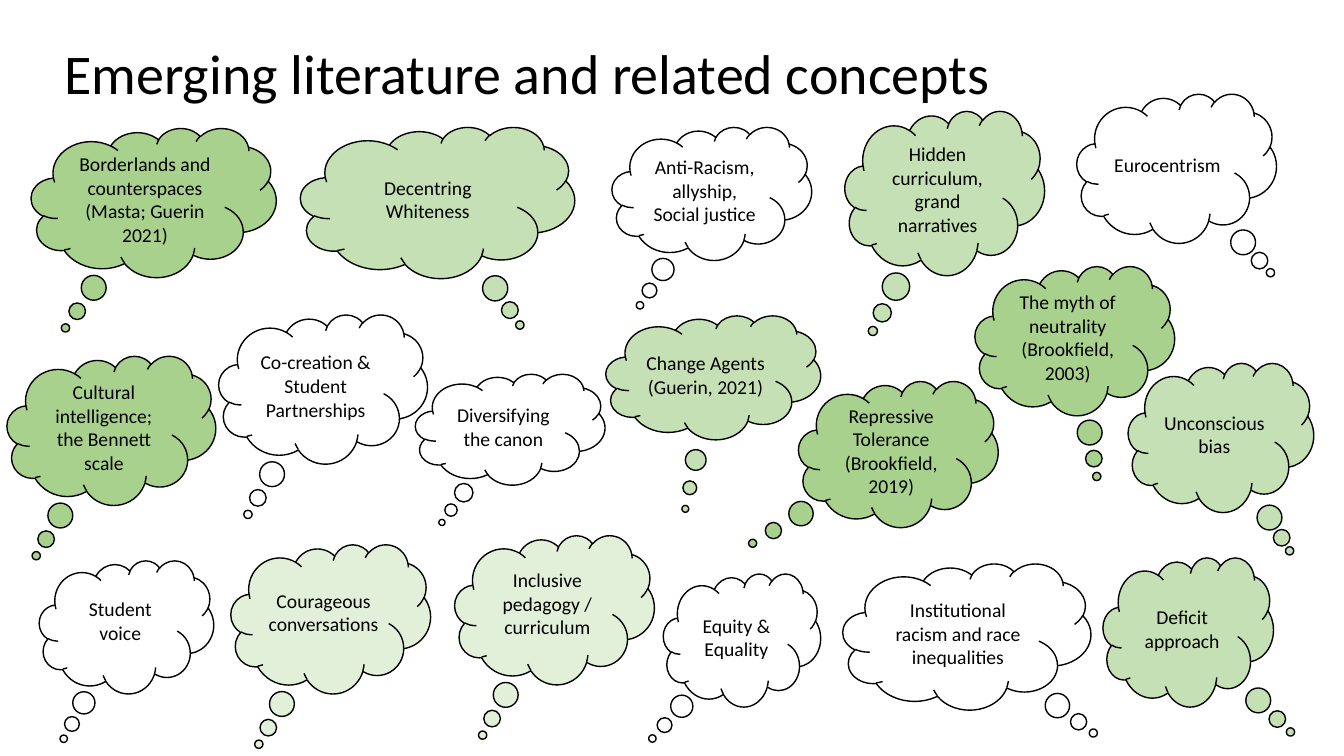
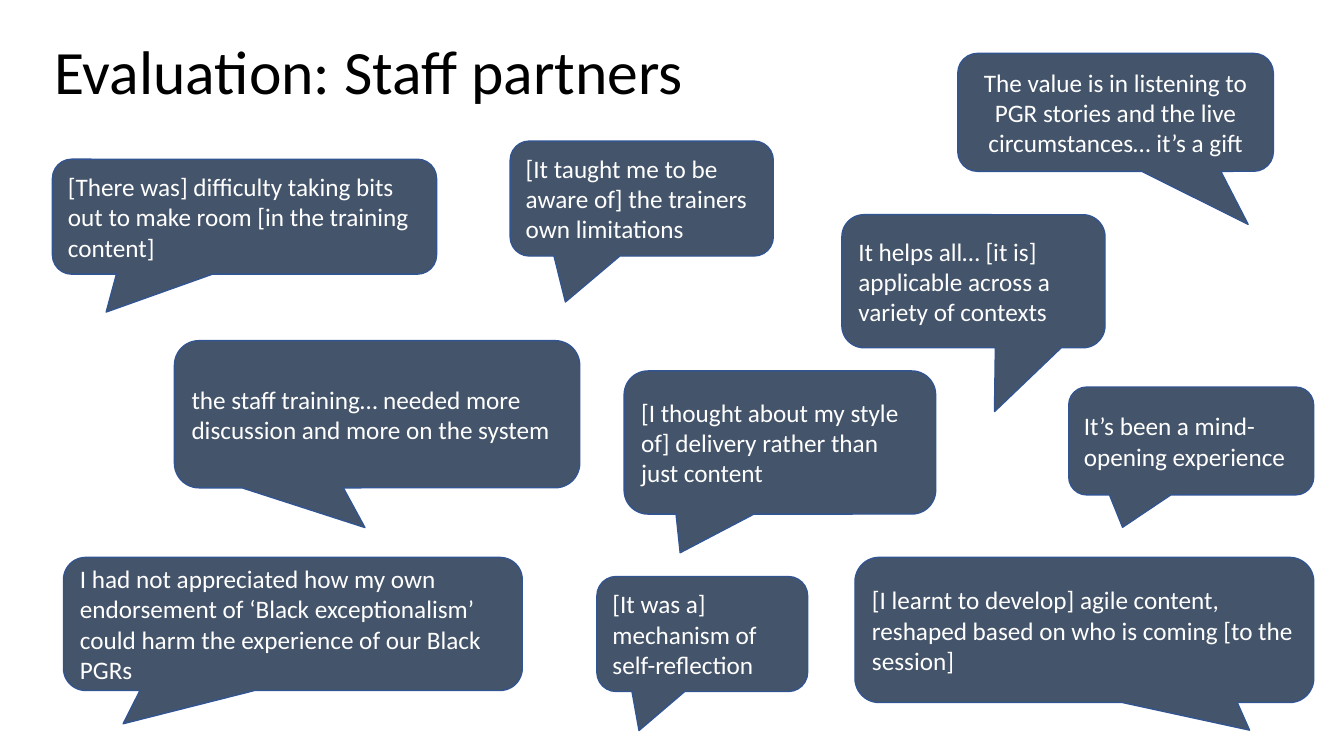
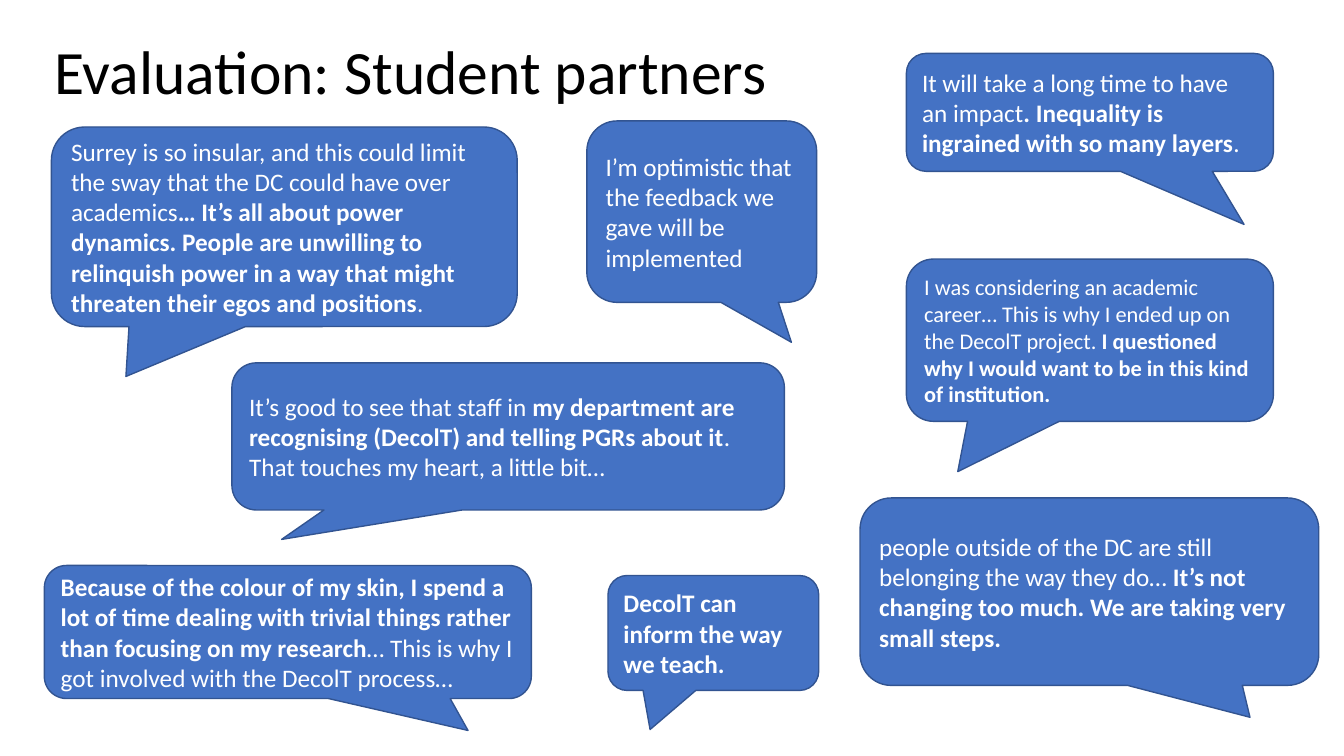
from dataclasses import dataclass

from pptx import Presentation
from pptx.dml.color import RGBColor
from pptx.enum import shapes, text
from pptx.slide import Slide
from pptx.text.text import TextFrame
from pptx.util import Pt

PX = 9144
LEFT, CENTER = text.PP_ALIGN.LEFT, text.PP_ALIGN.CENTER
CLOUD = shapes.MSO_SHAPE.CLOUD_CALLOUT
SPEECH = shapes.MSO_SHAPE.ROUNDED_RECTANGULAR_CALLOUT


@dataclass(frozen=True)
class Theme:
    font: str = "Calibri"
    ink: str = "000000"
    paper: str = "FFFFFF"
    pale: str = "E2F0D9"
    soft: str = "C5E0B4"
    leaf: str = "A9D18E"
    slate: str = "44546A"
    blue: str = "4472C4"
    edge: str = "325491"
    concept_pt: int = 14
    small_quote_pt: int = 16
    quote_pt: int = 18
    long_title_pt: int = 40
    title_pt: int = 44


THEME = Theme()


@dataclass(frozen=True)
class Box:
    left: int
    top: int
    width: int
    height: int

    def emu(self) -> tuple[int, int, int, int]:
        return self.left * PX, self.top * PX, self.width * PX, self.height * PX


@dataclass(frozen=True)
class Concept:
    wording: str
    box: Box
    fill: str = THEME.paper
    tail: tuple[float, float] = (-0.36, 0.84)
    align: text.PP_ALIGN = CENTER
    lift: int = 0


@dataclass(frozen=True)
class Quote:
    wording: str
    box: Box
    tail: tuple[float, float]
    align: text.PP_ALIGN = LEFT
    size: int = THEME.quote_pt


CONCEPTS = [
    Concept("Hidden curriculum,\ngrand narratives", Box(838, 110, 198, 163), THEME.soft),
    Concept("Inclusive pedagogy /\ncurriculum", Box(451, 531, 198, 148), THEME.pale, lift=6),
    Concept("Co-creation &\nStudent Partnerships", Box(217, 312, 207, 148)),
    Concept("Cultural intelligence; the Bennett scale", Box(7, 353, 207, 148), THEME.leaf),
    Concept("Decentring Whiteness", Box(298, 126, 272, 150), THEME.soft, (0.3, 0.81)),
    Concept("Diversifying the canon", Box(412, 371, 188, 110)),
    Concept("Borderlands and counterspaces (Masta; Guerin 2021)", Box(31, 127, 243, 148), THEME.leaf),
    Concept("Eurocentrism", Box(1068, 93, 198, 148), tail=(0.47, 0.7), align=LEFT),
    Concept("Institutional racism and race inequalities", Box(836, 559, 246, 145), tail=(0.51, 0.66)),
    Concept("Repressive Tolerance\n(Brookfield, 2019)", Box(792, 378, 198, 145), THEME.leaf, (-0.73, 0.61)),
    Concept("Change Agents\n(Guerin, 2021)", Box(601, 313, 213, 123), THEME.soft, (-0.13, 1.06)),
    Concept("Anti-Racism, allyship,\nSocial justice", Box(607, 126, 198, 132)),
    Concept("Deficit approach", Box(1094, 553, 169, 148), THEME.soft, (0.6, 0.67)),
    Concept("The myth of neutrality (Brookfield, 2003)", Box(967, 264, 198, 148), THEME.leaf, (0.11, 0.91)),
    Concept("Unconscious bias", Box(1119, 360, 184, 148), THEME.soft, (0.37, 0.76)),
    Concept("Courageous conversations", Box(229, 540, 198, 148), THEME.pale, lift=6),
    Concept("Equity & Equality", Box(658, 569, 156, 132), tail=(-0.57, 0.74)),
    Concept("Student voice", Box(39, 556, 173, 132), lift=6),
]

STAFF_QUOTES = [
    Quote("[I thought about my style of] delivery rather than just content", Box(619, 368, 309, 142), (-0.32, 0.77)),
    Quote(
        "[There was] difficulty taking bits out to make room [in the training content]",
        Box(52, 158, 381, 114),
        (-0.36, 0.83),
    ),
    Quote(
        "I had not appreciated how my own endorsement of ‘Black exceptionalism’ "
        "could harm the experience of our Black PGRs",
        Box(63, 553, 455, 132),
        (-0.37, 0.75),
    ),
    Quote("[It was a] mechanism of self-reflection", Box(592, 572, 209, 114), (-0.3, 0.84)),
    Quote("[It taught me to be aware of] the trainers own limitations", Box(506, 140, 261, 114), (-0.29, 0.9)),
    Quote(
        "[I learnt to develop] agile content, reshaped based on who is coming [to the session]",
        Box(848, 553, 455, 144),
        (0.36, 0.69),
    ),
    Quote("It’s been a mind-opening experience", Box(1060, 384, 243, 107), (-0.28, 0.8)),
    Quote(
        "The value is in listening to PGR stories and the live circumstances… it’s a gift",
        Box(950, 53, 313, 117),
        (0.42, 0.95),
        CENTER,
    ),
    Quote("the staff training… needed more discussion and more on the system", Box(173, 338, 402, 146), (-0.03, 0.77)),
    Quote("It helps all… [it is] applicable across a variety of contexts", Box(835, 213, 261, 132), (0.08, 0.98)),
]

STUDENT_QUOTES = [
    Quote("I’m optimistic that the feedback we gave will be implemented", Box(582, 120, 228, 180), (0.39, 0.72)),
    Quote(
        "Surrey is so insular, and this could limit the sway that the DC could have over academics"
        "**… It’s all about power dynamics. People are unwilling to relinquish power "
        "in a way that might threaten their egos and positions**.",
        Box(51, 126, 462, 198),
        (-0.34, 0.75),
    ),
    Quote(
        "**Because of the colour of my skin, I spend a lot of time dealing with trivial things "
        "rather than focusing on my research**… This is why I got involved with the DecolT process…",
        Box(44, 561, 483, 132),
        (0.37, 0.74),
    ),
    Quote("**DecolT can inform the way we teach.**", Box(603, 571, 209, 114), (-0.3, 0.84)),
    Quote(
        "I was considering an academic career… This is why I ended up on the DecolT project. "
        "**I questioned why I would want to be in this kind of institution.**",
        Box(899, 257, 364, 161),
        (-0.36, 0.81),
        size=THEME.small_quote_pt,
    ),
    Quote(
        "people outside of the DC are still belonging the way they do… "
        "**It’s not changing too much. We are taking very small steps.**",
        Box(853, 494, 455, 186),
        (0.35, 0.67),
    ),
    Quote(
        "It will take a long time to have an impact**. Inequality is ingrained with so many layers**.",
        Box(899, 53, 364, 117),
        (0.42, 0.95),
    ),
    Quote(
        "It’s good to see that staff in **my department are recognising (DecolT) "
        "and telling PGRs about it**. That touches my heart, a little bit…",
        Box(230, 360, 548, 146),
        (-0.41, 0.7),
    ),
]


def write(
    frame: TextFrame,
    wording: str,
    *,
    size: int,
    color: str = THEME.ink,
    align: text.PP_ALIGN = LEFT,
    spacing: float = 1.0,
    lift: int = 0,
) -> None:
    frame.word_wrap = True
    frame.vertical_anchor = text.MSO_ANCHOR.MIDDLE
    frame.margin_left = frame.margin_right = 10 * PX
    frame.margin_top = 5 * PX
    frame.margin_bottom = (5 + lift) * PX
    for row, line in enumerate(wording.split("\n")):
        paragraph = frame.add_paragraph() if row else frame.paragraphs[0]
        paragraph.alignment = align
        paragraph.line_spacing = spacing
        for turn, words in enumerate(line.split("**")):
            if words:
                run = paragraph.add_run()
                run.text = words
                run.font.name = THEME.font
                run.font.size = Pt(size)
                run.font.bold = turn % 2 == 1
                run.font.color.rgb = RGBColor.from_string(color)


def add_bubble(
    slide: Slide, preset: shapes.MSO_SHAPE, box: Box, tail: tuple[float, float], fill: str, edge: str
) -> TextFrame:
    bubble = slide.shapes.add_shape(preset, *box.emu())
    bubble.shadow.inherit = False
    bubble.adjustments[0], bubble.adjustments[1] = tail
    bubble.fill.solid()
    bubble.fill.fore_color.rgb = RGBColor.from_string(fill)
    bubble.line.color.rgb = RGBColor.from_string(edge)
    bubble.line.width = Pt(1)
    return bubble.text_frame


def add_titled_slide(deck: Presentation, title: str, left: int, top: int, size: int) -> Slide:
    slide = deck.slides.add_slide(deck.slide_layouts[6])
    heading = slide.shapes.add_textbox(*Box(left, top, 1150, 145).emu())
    write(heading.text_frame, title, size=size, spacing=0.9)
    return slide


def add_concept_slide(deck: Presentation) -> None:
    slide = add_titled_slide(deck, "Emerging literature and related concepts", 54, 3, THEME.long_title_pt)
    for concept in CONCEPTS:
        frame = add_bubble(slide, CLOUD, concept.box, concept.tail, concept.fill, THEME.ink)
        write(frame, concept.wording, size=THEME.concept_pt, align=concept.align, lift=concept.lift)


def add_quote_slide(deck: Presentation, title: str, quotes: list[Quote], fill: str) -> None:
    slide = add_titled_slide(deck, title, 44, 1, THEME.title_pt)
    for quote in quotes:
        frame = add_bubble(slide, SPEECH, quote.box, quote.tail, fill, THEME.edge)
        write(frame, quote.wording, size=quote.size, color=THEME.paper, align=quote.align)


def main() -> None:
    deck = Presentation()
    deck.slide_width, deck.slide_height = 1333 * PX, 750 * PX
    add_concept_slide(deck)
    add_quote_slide(deck, "Evaluation: Staff partners", STAFF_QUOTES, THEME.slate)
    add_quote_slide(deck, "Evaluation: Student partners", STUDENT_QUOTES, THEME.blue)
    deck.save("out.pptx")


if __name__ == "__main__":
    main()
